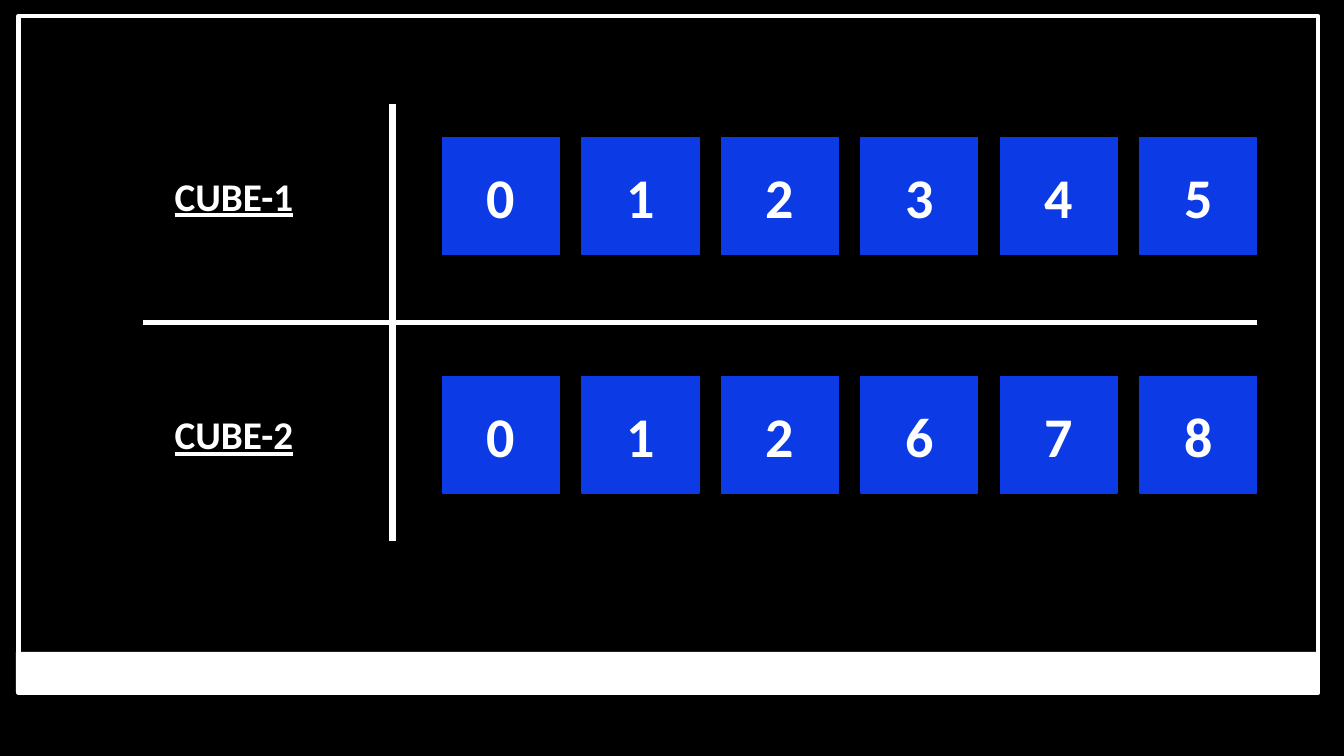
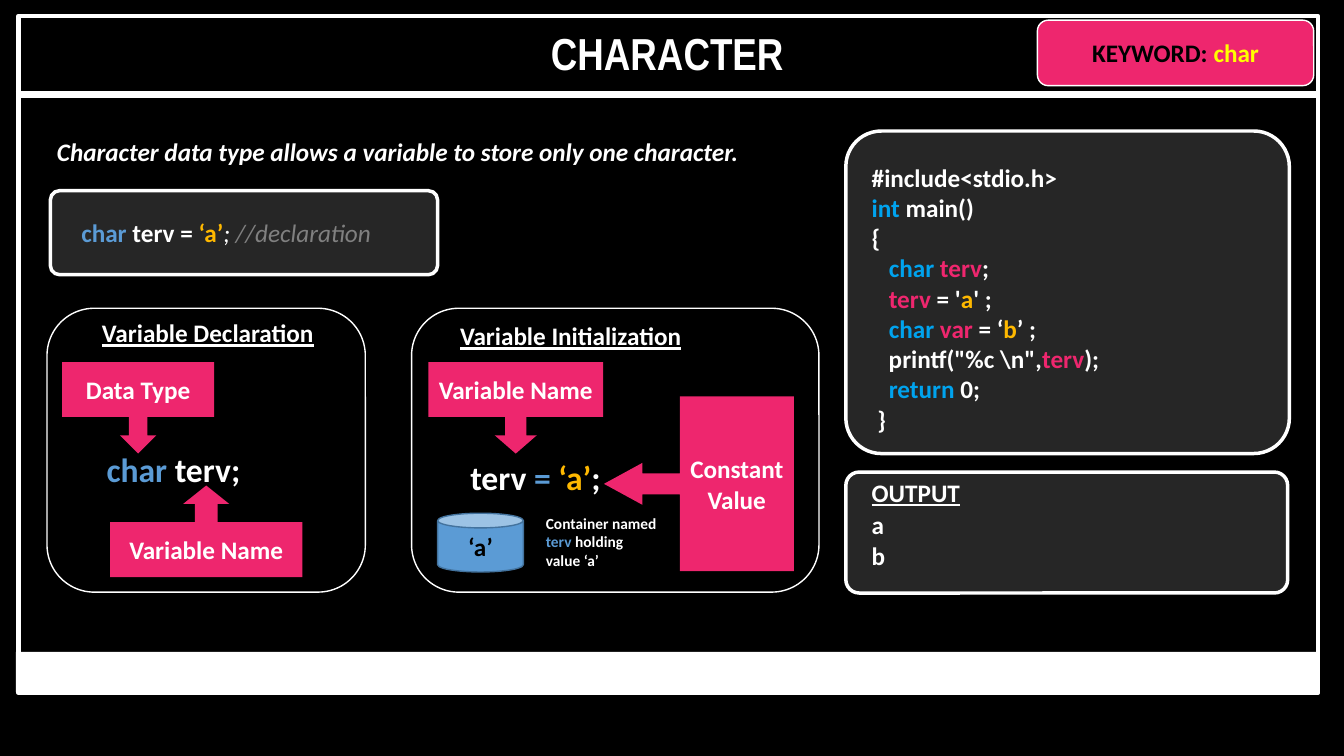
"""Build two slides on a 160 by 90 grid: the digit cubes and the character data type."""
from lxml import etree
from pptx import Presentation
from pptx import util as u
from pptx.dml.color import RGBColor
from pptx.enum import shapes, text
from pptx.oxml import ns

COLS, ROWS = 160, 90
CELL = u.Inches(7.5) / ROWS

BLACK = RGBColor(0x00, 0x00, 0x00)
WHITE = RGBColor(0xFF, 0xFF, 0xFF)
CUBE_BLUE = RGBColor(0x0C, 0x3A, 0xE5)
PINK = RGBColor(0xEE, 0x26, 0x6E)
YELLOW = RGBColor(0xFF, 0xFF, 0x00)
CHARCOAL = RGBColor(0x26, 0x26, 0x26)
TYPE_BLUE = RGBColor(0x5B, 0x9B, 0xD5)
RIM_BLUE = RGBColor(0x43, 0x73, 0x9E)
CODE_BLUE = RGBColor(0x00, 0xA3, 0xEE)
AMBER = RGBColor(0xFE, 0xB8, 0x00)
GRAY = RGBColor(0x80, 0x80, 0x80)

KIND = shapes.MSO_SHAPE
LEFT, CENTER = text.PP_ALIGN.LEFT, text.PP_ALIGN.CENTER

BODY = {"name": "Calibri", "size": u.Pt(18), "bold": True}
TITLE = BODY | {"name": "Arial Narrow", "size": u.Pt(32)}
HEADING = BODY | {"underline": True}
CUBE_NAME = HEADING | {"size": u.Pt(28)}
DIGIT = BODY | {"size": u.Pt(40)}
FORMULA = BODY | {"size": u.Pt(24)}
CAPTION = BODY | {"size": u.Pt(11)}
INTRO = BODY | {"italic": True}
COMMENT = {"bold": False, "italic": True}

FRAME = (2.2, 1.9, 154.7, 80.6)
BAND = (1.9, 77.6, 154.9, 4.8)

CUBES = [("CUBE-1", "012345"), ("CUBE-2", "012678")]
CUBE_LEFT, CUBE_RIGHT, CUBE_TOP, CUBE_SIDE = 52.7, 149.6, 16.4, 13.9
CUBE_ROW = 28.4
CROSS = [((46.7, 12.4), (46.7, 64.4), 4.75), ((17, 38.4), (CUBE_RIGHT, 38.4), 4)]

PANELS = [
    ((6, 22.7, 46.1, 10), CHARCOAL, 2.5, [0.11]),
    ((5.6, 36.7, 37.9, 33.8), None, 1, []),
    ((49, 36.7, 48.5, 33.8), None, 1, []),
    ((100.7, 15.6, 52.8, 38.4), CHARCOAL, 2.5, [0.11]),
    ((100.7, 56.2, 52.6, 14.4), CHARCOAL, 2.5, [0.11]),
]

CALLOUTS = [
    ("Data Type", KIND.DOWN_ARROW_CALLOUT, (7.4, 43.1, 18.1, 10.9), [0.2, 0.2, 0.2, 0.6]),
    ("Variable Name", KIND.UP_ARROW_CALLOUT, (13.1, 57.8, 22.9, 10.9), [0.25, 0.25, 0.2, 0.6]),
    ("Variable Name", KIND.DOWN_ARROW_CALLOUT, (51, 43.1, 20.8, 10.9), [0.23, 0.23, 0.2, 0.6]),
    ("Constant Value", KIND.LEFT_ARROW_CALLOUT, (71.9, 47.2, 22.6, 20.8), [0.12, 0.12, 0.22, 0.6]),
]

CODE = [
    [("#include<stdio.h>",)],
    [("int ", CODE_BLUE), ("main()",)],
    [("{",)],
    [("   ",), ("char ", CODE_BLUE), ("terv", PINK), (";",)],
    [("   ",), ("terv ", PINK), ("= '",), ("a", AMBER), ("' ;",)],
    [("   ",), ("char ", CODE_BLUE), ("var", PINK), (" = ‘",), ("b", AMBER), ("’ ;",)],
    [("   printf(\"%c \\n\",",), ("terv", PINK), (");",)],
    [("   ",), ("return", CODE_BLUE), (" 0;",)],
    [(" }",)],
]

TEXTS = [
    ((29.3, 2.5, 100.3, 7.7), TITLE, CENTER, [[("CHARACTER",)]]),
    ((5.6, 15.6, 147.5, 4.8), INTRO, LEFT,
     [[("Character data type allows a variable to store only one character.",)]]),
    ((8.5, 25.3, 39.1, 4.8), BODY, LEFT,
     [[("char ", TYPE_BLUE), ("terv = ",), ("‘a’", AMBER),
       ("; ", WHITE, COMMENT), ("//declaration", GRAY, COMMENT)]]),
    ((5.2, 37.2, 39.1, 4.8), HEADING, CENTER, [[("Variable Declaration",)]]),
    ((1.1, 52.8, 39.1, 6), FORMULA, CENTER, [[("char ", TYPE_BLUE), ("terv;",)]]),
    ((48.4, 37.6, 39.1, 4.8), HEADING, CENTER, [[("Variable Initialization",)]]),
    ((44.2, 53.8, 39.1, 6), FORMULA, CENTER,
     [[("terv",), (" = ", TYPE_BLUE), ("‘a’", AMBER), (";",)]]),
    ((63.8, 60.6, 15.7, 7.9), CAPTION, LEFT,
     [[("Container named ",), ("terv", TYPE_BLUE), (" holding value ‘a’",)]]),
    ((102.6, 18.7, 39.1, 34), BODY, LEFT, CODE),
    ((102.6, 56.2, 39.1, 4.8), HEADING, LEFT, [[("OUTPUT",)]]),
    ((102.6, 60.1, 39.1, 8.5), BODY, LEFT, [[("a",)], [("b",)]]),
]


def cells(*counts):
    return [u.Emu(round(count * CELL)) for count in counts]


def write(frame, paragraphs, style, align):
    frame.word_wrap = True
    for index, runs in enumerate(paragraphs):
        paragraph = frame.add_paragraph() if index else frame.paragraphs[0]
        paragraph.alignment = align
        for words, color, extra in (run + (WHITE, {})[len(run) - 1:] for run in runs):
            run = paragraph.add_run()
            run.text = words
            run.font.color.rgb = color
            for key, value in (style | extra).items():
                setattr(run.font, key, value)


def add_text(slide, box, style, align, paragraphs):
    write(slide.shapes.add_textbox(*cells(*box)).text_frame, paragraphs, style, align)


def add_block(slide, kind, box, fill=None, line=None, width=1, adjust=(),
              runs=None, style=BODY, inset=None):
    block = slide.shapes.add_shape(kind, *cells(*box))
    block.shadow.inherit = False
    for part, color in ((block.fill, fill), (block.line.fill, line)):
        if color is None:
            part.background()
        else:
            part.solid()
            part.fore_color.rgb = color
    if line is not None:
        block.line.width = u.Pt(width)
    for index, value in enumerate(adjust):
        block.adjustments[index] = value
    if inset is not None:
        for side in ("left", "right", "top", "bottom"):
            setattr(block.text_frame, f"margin_{side}", inset)
    if runs:
        write(block.text_frame, [runs], style, CENTER)


def add_rule(slide, start, end, width):
    rule = slide.shapes.add_connector(shapes.MSO_CONNECTOR.STRAIGHT, *cells(*start, *end))
    rule.line.color.rgb = WHITE
    rule.line.width = u.Pt(width)
    etree.SubElement(rule._element.spPr, ns.qn("a:effectLst"))


def add_slide(deck):
    slide = deck.slides.add_slide(deck.slide_layouts[6])
    slide.background.fill.solid()
    slide.background.fill.fore_color.rgb = BLACK
    add_block(slide, KIND.RECTANGLE, FRAME, line=WHITE, width=3)
    add_block(slide, KIND.RECTANGLE, BAND, fill=WHITE)
    return slide


def build_cubes(deck):
    slide = add_slide(deck)
    for rule in CROSS:
        add_rule(slide, *rule)
    for row, (name, digits) in enumerate(CUBES):
        drop = row * CUBE_ROW
        add_text(slide, (13.2, 19.9 + drop, 29.3, 6.8), CUBE_NAME, CENTER, [[(name,)]])
        pitch = (CUBE_RIGHT - CUBE_LEFT - CUBE_SIDE) / (len(digits) - 1)
        for column, digit in enumerate(digits):
            box = (CUBE_LEFT + column * pitch, CUBE_TOP + drop, CUBE_SIDE, CUBE_SIDE)
            add_block(slide, KIND.RECTANGLE, box, CUBE_BLUE, CUBE_BLUE,
                      runs=[(digit,)], style=DIGIT)


def build_character(deck):
    slide = add_slide(deck)
    add_rule(slide, (1.9, 11.2), (156.8, 11.2), 5)
    add_block(slide, KIND.ROUNDED_RECTANGLE, (123.5, 2.4, 32.9, 7.8), PINK, WHITE,
              runs=[("KEYWORD: ", BLACK), ("char", YELLOW)])
    for box, fill, width, adjust in PANELS:
        add_block(slide, KIND.ROUNDED_RECTANGLE, box, fill, WHITE, width, adjust)
    for words, kind, box, adjust in CALLOUTS:
        add_block(slide, kind, box, PINK, adjust=adjust, runs=[(words,)], inset=0)
    add_block(slide, KIND.CAN, (52.1, 61.1, 10.2, 7), TYPE_BLUE, RIM_BLUE,
              runs=[("‘a’", BLACK)], inset=0)
    for item in TEXTS:
        add_text(slide, *item)


def main():
    deck = Presentation()
    deck.slide_width, deck.slide_height = cells(COLS, ROWS)
    build_cubes(deck)
    build_character(deck)
    deck.save("out.pptx")


if __name__ == "__main__":
    main()
